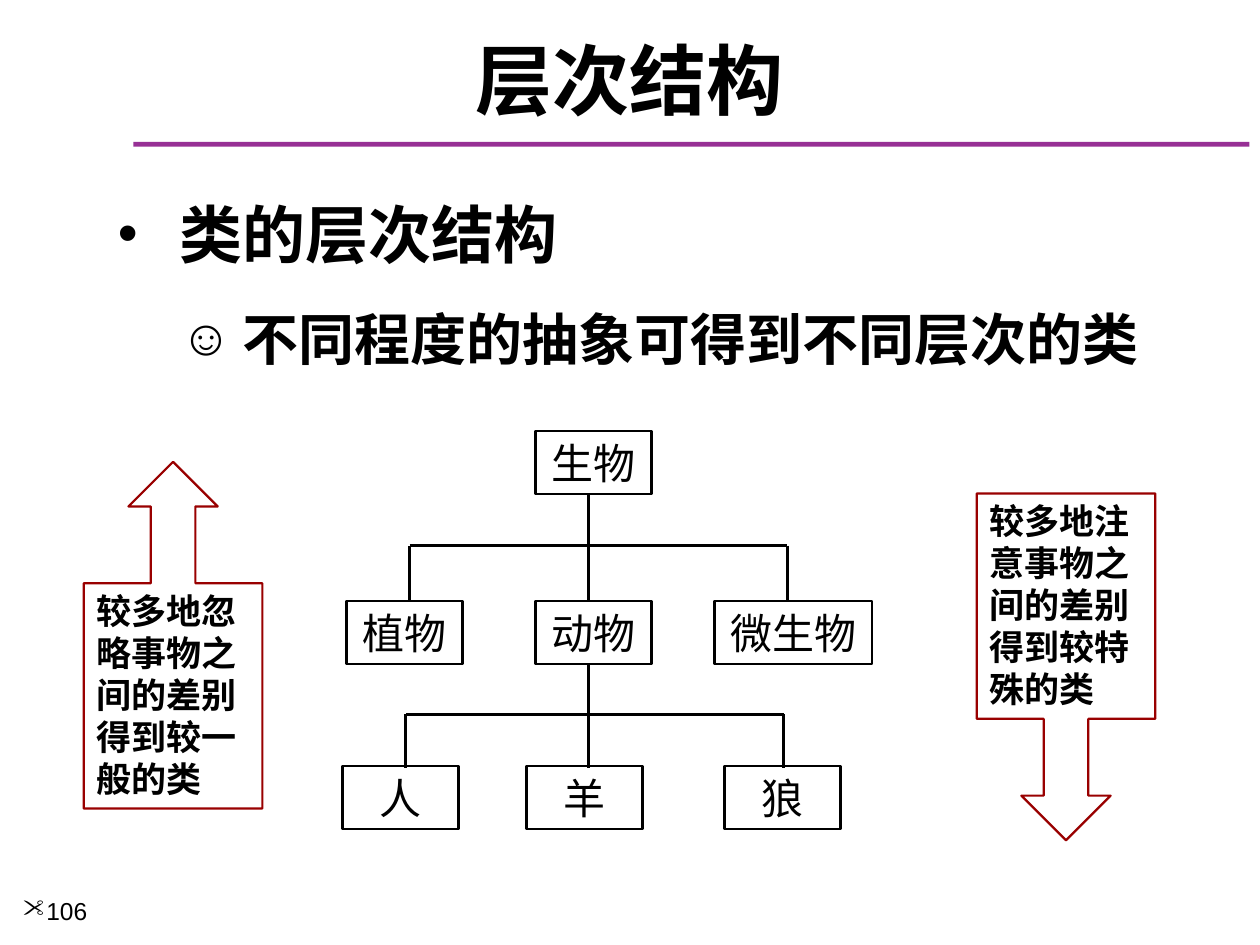
from lxml.etree import SubElement
from pptx import Presentation
from pptx.dml.color import RGBColor
from pptx.enum.shapes import MSO_CONNECTOR, MSO_SHAPE
from pptx.enum.text import MSO_ANCHOR, MSO_AUTO_SIZE, PP_ALIGN
from pptx.oxml.ns import qn
from pptx.util import Cm, Pt

HEADING_FONT = "Noto Sans CJK SC"
LABEL_FONT = "Arial"
BLACK, PURPLE, RED = "000000", "973095", "990000"

TITLE = "层次结构"
BULLETS = [
    ("类的层次结构", 0, "•", 1.25, 36, 0),
    ("不同程度的抽象可得到不同层次的类", 1, "☺", 2.51, 32, 19.2),
]
BOX_WIDTH, BOX_HEIGHT = 2.33, 1.27
CLASSES = [
    (8.69, [("生物", 10.8, BOX_WIDTH)]),
    (12.12, [("植物", 6.99, BOX_WIDTH), ("动物", 10.8, BOX_WIDTH), ("微生物", 14.4, 3.18)]),
    (15.44, [("人", 6.91, BOX_WIDTH), ("羊", 10.62, BOX_WIDTH), ("狼", 14.61, BOX_WIDTH)]),
]
TRUNK = 11.86
BRANCHES = [(9.94, 11, 12.12, 8.26, 15.87), (13.39, 14.4, 15.49, 8.18, 15.8)]
CALLOUTS = [
    (MSO_SHAPE.UP_ARROW_CALLOUT, 1.69, 9.31, "较多地忽略事物之间的差别得到较一般的类"),
    (MSO_SHAPE.DOWN_ARROW_CALLOUT, 19.69, 9.95, "较多地注意事物之间的差别得到较特殊的类"),
]


def color(value):
    return RGBColor.from_string(value)


def set_all(target, **values):
    for name, value in values.items():
        setattr(target, name, value)


def place(shape, left, top, width, height):
    set_all(shape, left=Cm(left), top=Cm(top), width=Cm(width), height=Cm(height))


def write(paragraph, text, size, font=HEADING_FONT, bold=True, align=PP_ALIGN.LEFT):
    set_all(paragraph, alignment=align)
    run = paragraph.add_run()
    run.text = text
    set_all(run.font, name=font, size=Pt(size), bold=bold)
    run.font.color.rgb = color(BLACK)
    SubElement(run._r.get_or_add_rPr(), qn("a:ea"), typeface=font)


def add_bullet(paragraph, char, size=None, font=None):
    properties = paragraph._p.get_or_add_pPr()
    if size:
        SubElement(properties, qn("a:buSzPct"), val=str(size * 1000))
    if font:
        SubElement(properties, qn("a:buFont"), typeface=font)
    SubElement(properties, qn("a:buChar"), char=char)


def add_outline(slide, kind, left, top, width, height, line_color, line_width):
    shape = slide.shapes.add_shape(kind, Cm(left), Cm(top), Cm(width), Cm(height))
    shape.shadow.inherit = False
    shape.fill.background()
    shape.line.color.rgb = color(line_color)
    shape.line.width = Pt(line_width)
    shape.text_frame.vertical_anchor = MSO_ANCHOR.TOP
    return shape


def add_line(slide, x1, y1, x2, y2):
    line = slide.shapes.add_connector(
        MSO_CONNECTOR.STRAIGHT, Cm(x1), Cm(y1), Cm(x2), Cm(y2))
    line.line.color.rgb = color(BLACK)
    line.line.width = Pt(1.5)
    SubElement(line._element.spPr, qn("a:effectLst"))


def add_headings(slide):
    rule = slide.shapes.add_shape(MSO_SHAPE.RECTANGLE, Cm(2.69), Cm(2.86), Cm(22.5), Cm(0.1))
    rule.shadow.inherit = False
    rule.fill.solid()
    rule.fill.fore_color.rgb = color(PURPLE)
    rule.line.fill.background()

    title = slide.shapes.title
    place(title, 0.42, 0.64, 24.56, 1.9)
    set_all(title.text_frame, auto_size=MSO_AUTO_SIZE.NONE, vertical_anchor=MSO_ANCHOR.MIDDLE)
    write(title.text_frame.paragraphs[0], TITLE, 44, align=PP_ALIGN.CENTER)

    body = slide.placeholders[1]
    place(body, 2.12, 3.81, 21.38, 13.76)
    frame = body.text_frame
    set_all(frame, auto_size=MSO_AUTO_SIZE.NONE, vertical_anchor=MSO_ANCHOR.TOP)
    for index, (text, level, char, margin, size, before) in enumerate(BULLETS):
        paragraph = frame.add_paragraph() if index else frame.paragraphs[0]
        set_all(paragraph, level=level, space_before=Pt(before))
        properties = paragraph._p.get_or_add_pPr()
        properties.set("marL", str(Cm(margin)))
        properties.set("indent", str(-Cm(1.25)))
        add_bullet(paragraph, char, size=90)
        write(paragraph, text, size)


def add_number(slide):
    number = slide.shapes.add_textbox(Cm(0.21), Cm(17.93), Cm(2.75), Cm(1.12))
    number.text_frame.word_wrap = True
    paragraph = number.text_frame.paragraphs[0]
    add_bullet(paragraph, '"', font="Wingdings")
    write(paragraph, "106", 14, LABEL_FONT, False)


def add_hierarchy(slide):
    for top, row in CLASSES:
        for text, left, width in row:
            box = add_outline(slide, MSO_SHAPE.RECTANGLE, left, top, width, BOX_HEIGHT, BLACK, 1.5)
            box.text_frame.word_wrap = False
            write(box.text_frame.paragraphs[0], text, 24, LABEL_FONT, False, PP_ALIGN.CENTER)
    for start, bar, end, left, right in BRANCHES:
        add_line(slide, TRUNK, start, TRUNK, bar)
        add_line(slide, left, bar, right, bar)
        for x in (left, TRUNK, right):
            add_line(slide, x, bar, x, end)


def add_callouts(slide):
    for kind, left, top, text in CALLOUTS:
        callout = add_outline(slide, kind, left, top, 3.6, 6.99, RED, 1.25)
        callout.text_frame.word_wrap = True
        write(callout.text_frame.paragraphs[0], text, 20)


def main():
    presentation = Presentation()
    set_all(presentation, slide_width=Cm(25.4), slide_height=Cm(19.05))
    slide = presentation.slides.add_slide(presentation.slide_layouts[1])
    add_headings(slide)
    add_number(slide)
    add_hierarchy(slide)
    add_callouts(slide)
    presentation.save("out.pptx")


if __name__ == "__main__":
    main()
